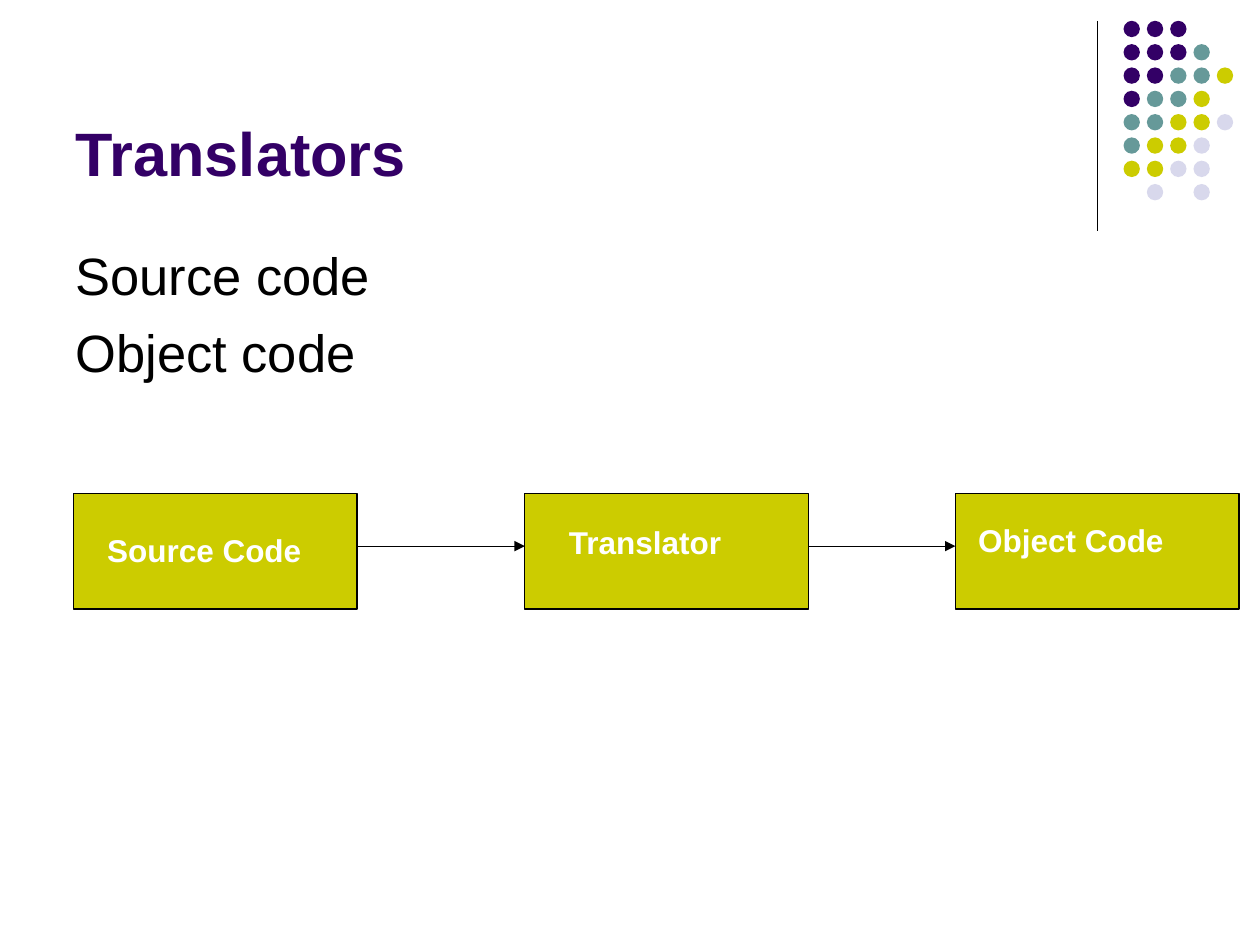
from itertools import pairwise

from lxml.etree import SubElement
from pptx import Presentation
from pptx.dml.color import RGBColor
from pptx.enum.shapes import MSO_CONNECTOR as Link, MSO_SHAPE as Shape
from pptx.enum.text import MSO_ANCHOR as Anchor, MSO_AUTO_SIZE as Fit, PP_ALIGN as Align
from pptx.oxml.ns import qn
from pptx.util import Cm, Pt

COLORS = {
    "purple": "330066",
    "teal": "669999",
    "olive": "CCCC00",
    "lavender": "D8D8EC",
    "black": "000000",
    "white": "FFFFFF",
}
DOT_COLORS = {"P": "purple", "T": "teal", "O": "olive", "L": "lavender"}
DOT_ROWS = ["PPP", "PPPT", "PPTTO", "PTTO", "TTOOL", "TOOL", "OOLL", " L L"]
DOT_LEFT, DOT_TOP, DOT_PITCH, DOT_SIZE = 22.65, 0.42, 0.47, 0.33
STAGE_TOP, STAGE_WIDTH, STAGE_HEIGHT, ARROW_Y = 9.95, 5.72, 2.33, 11.01
STAGES = [
    (1.48, "Source Code", (1.91, 10.58, 4.66, 1.02)),
    (10.58, "Translator", (11.22, 10.41, 4.66, 1.02)),
    (19.26, "Object Code", (19.47, 10.37, 5.29, 1.02)),
]


def color(name):
    return RGBColor.from_string(COLORS[name])


def assign(target, values):
    for name, value in values.items():
        setattr(target, name, value)


class SlideBuilder:
    """Draws styled elements on the current slide."""

    font = "Arial"
    line_width = Pt(0.75)

    def __init__(self, slide):
        self.slide = slide

    def set_text(self, frame, lines, size, ink, bold=False, space=0):
        frame.text = "\n".join(lines)
        for paragraph in frame.paragraphs:
            assign(paragraph, {"alignment": Align.LEFT, "space_before": Pt(space)})
            for run in paragraph.runs:
                assign(run.font, {"name": self.font, "size": Pt(size), "bold": bold})
                run.font.color.rgb = color(ink)

    def fill_placeholder(self, holder, box, lines, anchor, **style):
        assign(holder, dict(zip(("left", "top", "width", "height"), map(Cm, box))))
        frame = holder.text_frame
        assign(frame, {"vertical_anchor": anchor, "auto_size": Fit.NONE, "word_wrap": True})
        self.set_text(frame, lines, **style)

    def title(self, box, text, **style):
        self.fill_placeholder(self.slide.shapes.title, box, [text], Anchor.BOTTOM, **style)

    def body(self, box, lines, **style):
        body = self.slide.placeholders[1]
        self.fill_placeholder(body, box, lines, Anchor.TOP, **style)
        for paragraph in body.text_frame.paragraphs:
            properties = paragraph._p.get_or_add_pPr()
            properties.set("marL", str(Cm(0.95)))
            properties.set("indent", str(Cm(-0.95)))
            SubElement(properties, qn("a:buNone"))

    def label(self, box, text, **style):
        frame = self.slide.shapes.add_textbox(*map(Cm, box)).text_frame
        assign(frame, {"word_wrap": True, "auto_size": Fit.SHAPE_TO_FIT_TEXT})
        self.set_text(frame, [text], **style)

    def shape(self, kind, box, fill, outline=None, parent=None):
        shapes = (parent or self.slide).shapes
        figure = shapes.add_shape(kind, *map(Cm, box))
        figure.shadow.inherit = False
        figure.fill.solid()
        figure.fill.fore_color.rgb = color(fill)
        if outline:
            figure.line.color.rgb = color(outline)
            figure.line.width = self.line_width
        else:
            figure.line.fill.background()

    def line(self, *ends, arrow=False):
        link = self.slide.shapes.add_connector(Link.STRAIGHT, *map(Cm, ends))
        link.line.color.rgb = color("black")
        link.line.width = self.line_width
        properties = link._element.spPr
        if arrow:
            SubElement(properties.find(qn("a:ln")), qn("a:tailEnd"), type="triangle")
        SubElement(properties, qn("a:effectLst"))

    def dots(self):
        cluster = self.slide.shapes.add_group_shape()
        for row, codes in enumerate(DOT_ROWS):
            for column, code in enumerate(codes):
                if code in DOT_COLORS:
                    left = DOT_LEFT + column * DOT_PITCH
                    top = DOT_TOP + row * DOT_PITCH
                    box = (left, top, DOT_SIZE, DOT_SIZE)
                    self.shape(Shape.OVAL, box, DOT_COLORS[code], parent=cluster)


def main():
    deck = Presentation()
    assign(deck, {"slide_width": Cm(25.4), "slide_height": Cm(19.05)})
    builder = SlideBuilder(deck.slides.add_slide(deck.slide_layouts[1]))

    builder.line(22.12, 0.42, 22.12, 4.66)
    builder.dots()
    builder.title((1.27, 0.33, 20.96, 3.6), "Translators", size=35, ink="purple", bold=True)
    builder.body((1.27, 4.78, 22.86, 12.24), ["Source code", "Object code"],
                 size=30, ink="black", space=7.5)

    for (start, *_), (end, *_) in pairwise(STAGES):
        builder.line(start + STAGE_WIDTH, ARROW_Y, end, ARROW_Y, arrow=True)
    for left, name, label_box in STAGES:
        stage_box = (left, STAGE_TOP, STAGE_WIDTH, STAGE_HEIGHT)
        builder.shape(Shape.RECTANGLE, stage_box, "olive", outline="black")
        builder.label(label_box, name, size=18, ink="white", bold=True)

    deck.save("out.pptx")


if __name__ == "__main__":
    main()
